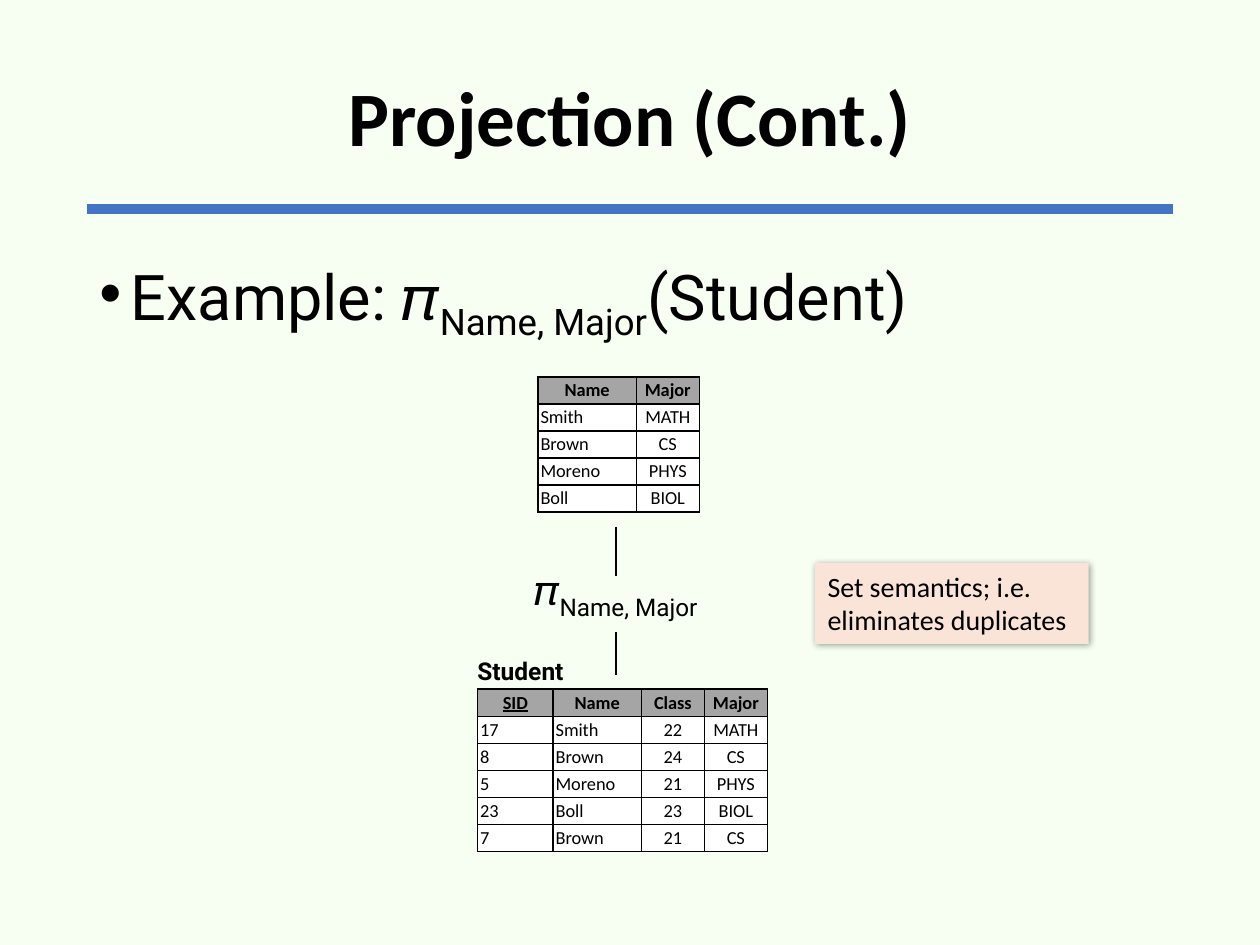
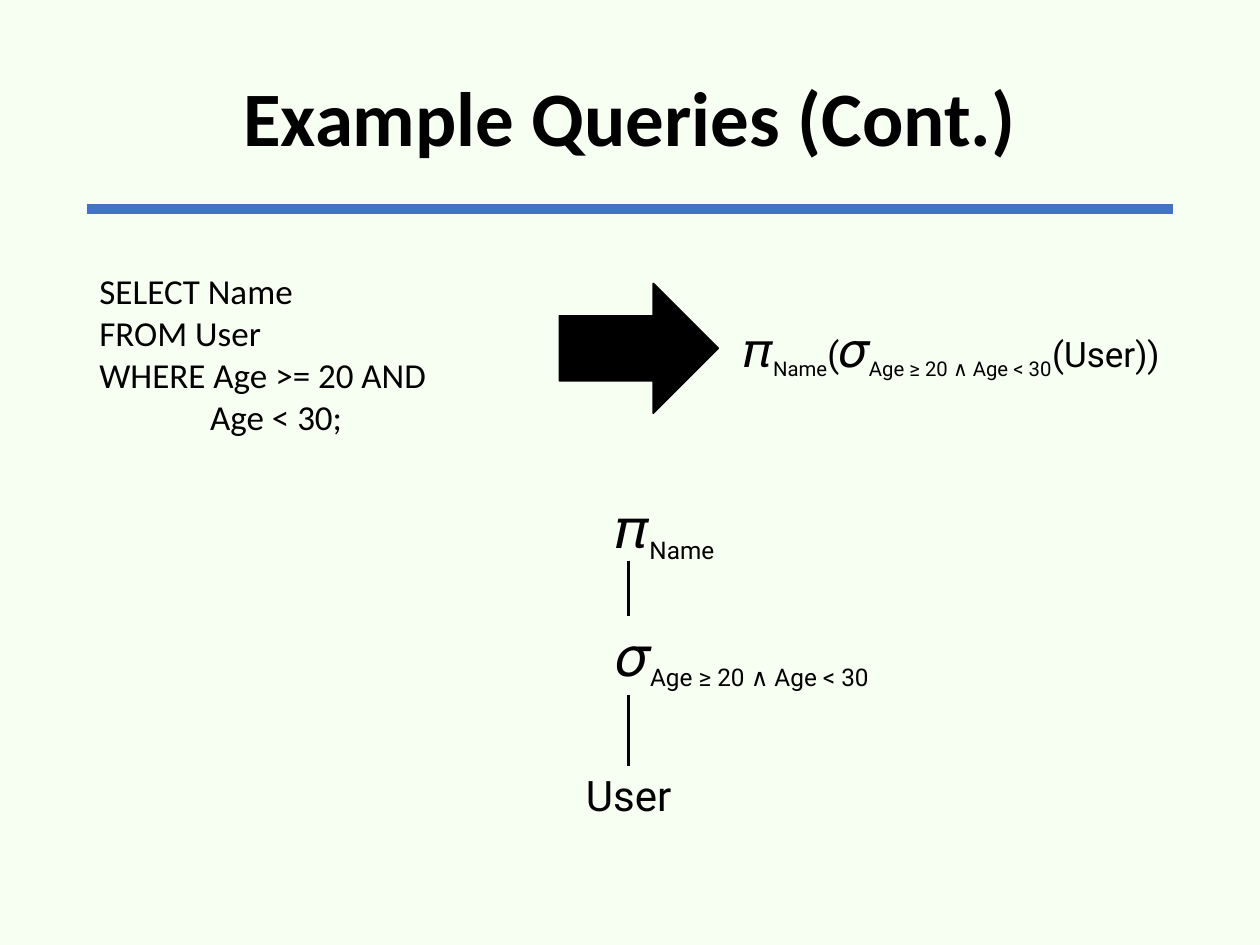
from dataclasses import dataclass

from lxml import etree
from pptx import Presentation
from pptx.dml.color import RGBColor
from pptx.enum.shapes import MSO_CONNECTOR, MSO_SHAPE
from pptx.enum.text import MSO_ANCHOR, PP_ALIGN
from pptx.oxml.ns import qn
from pptx.util import Inches, Pt

LEFT, CENTER = PP_ALIGN.LEFT, PP_ALIGN.CENTER
TOP, MIDDLE = MSO_ANCHOR.TOP, MSO_ANCHOR.MIDDLE
STRAIGHT = MSO_CONNECTOR.STRAIGHT
RECTANGLE, RIGHT_ARROW = MSO_SHAPE.RECTANGLE, MSO_SHAPE.RIGHT_ARROW
SITE_TOP, SITE_BOTTOM = 0, 2


@dataclass(frozen=True)
class Theme:
    background: str = "F7FFF3"
    rule: str = "4472C4"
    ink: str = "000000"
    header: str = "A5A5A5"
    cell: str = "FFFFFF"
    note: str = "FAE4D7"
    sans: str = "Calibri"
    formula: str = "Roboto"
    title_size: float = 44
    bullet_size: float = 36
    symbol_size: float = 32
    formula_symbol_size: float = 28
    operator_size: float = 24
    code_size: float = 20
    note_size: float = 16
    caption_size: float = 14
    table_size: float = 10.5


THEME = Theme()


def color(value):
    return RGBColor.from_string(value)


def add_run(paragraph, text, size, font=THEME.formula, bold=False, underline=False, subscript=False):
    run = paragraph.add_run()
    run.text = text
    run.font.name = font
    run.font.size = Pt(size)
    run.font.bold = bold
    run.font.underline = underline
    run.font.color.rgb = color(THEME.ink)
    if subscript:
        run.font._element.set("baseline", "-25000")


def add_text(slide, box, anchor=TOP, align=LEFT, wrap=True):
    label = slide.shapes.add_textbox(*map(Inches, box))
    frame = label.text_frame
    frame.word_wrap = wrap
    frame.vertical_anchor = anchor
    frame.paragraphs[0].alignment = align
    return label


def add_formula(paragraph, *parts):
    for text, size, subscript in parts:
        add_run(paragraph, text, size, subscript=subscript)


def add_line(slide, start, end, line_color=THEME.ink, width=1.5):
    line = slide.shapes.add_connector(STRAIGHT, *map(Inches, start + end))
    line.line.color.rgb = color(line_color)
    line.line.width = Pt(width)
    etree.SubElement(line._element.spPr, qn("a:effectLst"))
    return line


def join(slide, upper, lower):
    link = add_line(slide, (0, 0), (0, 0))
    link.begin_connect(upper, SITE_BOTTOM)
    link.end_connect(lower, SITE_TOP)


def add_filled(slide, preset, box, fill):
    shape = slide.shapes.add_shape(preset, *map(Inches, box))
    shape.shadow.inherit = False
    shape.fill.solid()
    shape.fill.fore_color.rgb = color(fill)
    return shape


def add_titled_slide(deck, title):
    slide = deck.slides.add_slide(deck.slide_layouts[6])
    slide.background.fill.solid()
    slide.background.fill.fore_color.rgb = color(THEME.background)
    add_line(slide, (0.69, 1.66), (9.31, 1.66), THEME.rule, 6)
    heading = add_text(slide, (0.69, 0.24, 8.62, 1.45), MIDDLE, CENTER).text_frame.paragraphs[0]
    heading.line_spacing = 0.9
    add_run(heading, title, THEME.title_size, THEME.sans, bold=True)
    return slide


def add_bullet(slide, box):
    paragraph = add_text(slide, box).text_frame.paragraphs[0]
    properties = paragraph._p.get_or_add_pPr()
    properties.set("marL", str(Inches(0.25)))
    properties.set("indent", str(-Inches(0.25)))
    etree.SubElement(properties, qn("a:buFont"), typeface="Arial")
    etree.SubElement(properties, qn("a:buChar"), char="•")
    paragraph.line_spacing = 0.9
    return paragraph


def add_note(slide, box, text):
    note = add_filled(slide, RECTANGLE, box, THEME.note)
    note.line.fill.background()
    effects = note._element.spPr.find(qn("a:effectLst"))
    shadow = etree.SubElement(effects, qn("a:outerShdw"), blurRad=str(Pt(4)),
                              dist=str(Pt(1)), dir=str(45 * 60000), rotWithShape="0")
    shade = etree.SubElement(shadow, qn("a:srgbClr"), val=THEME.ink)
    etree.SubElement(shade, qn("a:alpha"), val="40000")
    note.text_frame.word_wrap = True
    note.text_frame.vertical_anchor = TOP
    paragraph = note.text_frame.paragraphs[0]
    paragraph.alignment = LEFT
    add_run(paragraph, text, THEME.note_size, THEME.sans)


def border_cell(cell):
    properties = cell._tc.get_or_add_tcPr()
    for side in ("lnL", "lnR", "lnT", "lnB"):
        edge = etree.SubElement(properties, qn(f"a:{side}"), w=str(Pt(1)))
        fill = etree.SubElement(edge, qn("a:solidFill"))
        etree.SubElement(fill, qn("a:srgbClr"), val=THEME.ink)


def add_relation(slide, left, top, height, widths, rows, centered, key=None):
    frame = slide.shapes.add_table(len(rows), len(widths), Inches(left), Inches(top),
                                   Inches(sum(widths)), Inches(height))
    table = frame.table
    table.horz_banding = False
    for column, width in zip(table.columns, widths):
        column.width = Inches(width)
    for r, values in enumerate(rows):
        table.rows[r].height = Inches(height / len(rows))
        for c, value in enumerate(values):
            cell = table.cell(r, c)
            cell.margin_left = cell.margin_right = Inches(0.02)
            cell.margin_top = cell.margin_bottom = Inches(0.02)
            border_cell(cell)
            is_header = r == 0
            cell.fill.solid()
            cell.fill.fore_color.rgb = color(THEME.header if is_header else THEME.cell)
            paragraph = cell.text_frame.paragraphs[0]
            paragraph.alignment = CENTER if is_header or c in centered else LEFT
            add_run(paragraph, value, THEME.table_size, THEME.sans,
                    bold=is_header, underline=is_header and value == key)


def add_operator(slide, top, height, symbol, condition):
    operator = add_text(slide, (2.89, top, 4.2, height), MIDDLE)
    operator.text_frame.margin_left = Inches(2)
    add_formula(operator.text_frame.paragraphs[0],
                (symbol, THEME.symbol_size, False), (condition, THEME.operator_size, True))
    return operator


def build_projection(deck):
    slide = add_titled_slide(deck, "Projection (Cont.)")
    size = THEME.bullet_size
    add_formula(add_bullet(slide, (0.69, 2, 8.62, 0.8)),
                ("Example: 𝜋", size, False), ("Name, Major", size, True), ("(Student)", size, False))

    projection = add_text(slide, (3.79, 4.47, 2.2, 0.46), MIDDLE, CENTER, wrap=False)
    add_formula(projection.text_frame.paragraphs[0],
                ("𝜋", THEME.operator_size, False), ("Name, Major", THEME.operator_size, True))
    for start, end in ((4.18, 4.57), (5.02, 5.36)):
        add_line(slide, (4.89, start), (4.89, end))

    students = [
        ("SID", "Name", "Class", "Major"),
        ("17", "Smith", "22", "MATH"),
        ("8", "Brown", "24", "CS"),
        ("5", "Moreno", "21", "PHYS"),
        ("23", "Boll", "23", "BIOL"),
        ("7", "Brown", "21", "CS"),
    ]
    projected = list(dict.fromkeys((name, major) for _, name, _, major in students))
    add_relation(slide, 3.79, 5.47, 1.29, (0.6, 0.7, 0.5, 0.5), students, (2, 3), key="SID")
    add_relation(slide, 4.27, 2.99, 1.07, (0.78, 0.5), projected, (1,))
    caption = add_text(slide, (3.69, 5.16, 1.1, 0.34))
    add_run(caption.text_frame.paragraphs[0], "Student", THEME.caption_size, bold=True)
    add_note(slide, (6.47, 4.47, 2.17, 0.64), "Set semantics; i.e. eliminates duplicates")


def build_queries(deck):
    slide = add_titled_slide(deck, "Example Queries (Cont.)")
    query = add_text(slide, (0.69, 2.09, 3.42, 1.44)).text_frame
    lines = ("SELECT Name", "FROM User", "WHERE Age >= 20 AND", "              Age < 30;")
    for number, line in enumerate(lines):
        paragraph = query.add_paragraph() if number else query.paragraphs[0]
        add_run(paragraph, line, THEME.code_size, THEME.sans)

    arrow = add_filled(slide, RIGHT_ARROW, (4.44, 2.25, 1.26, 1.03), THEME.ink)
    arrow.line.color.rgb = color(THEME.ink)
    arrow.line.width = Pt(1)

    condition = "Age ≥ 20 ∧ Age < 30"
    symbol_size, size = THEME.formula_symbol_size, THEME.code_size
    algebra = add_text(slide, (5.8, 2.48, 3.51, 0.57), align=CENTER, wrap=False)
    add_formula(algebra.text_frame.paragraphs[0],
                ("𝜋", symbol_size, False), ("Name", size, True), ("(", size, False),
                ("𝜎", symbol_size, False), (condition, size, True), ("(User))", size, False))

    projection = add_operator(slide, 3.94, 0.51, "𝜋", "Name")
    selection = add_operator(slide, 4.89, 0.63, "𝜎", condition)
    user = add_text(slide, (4.49, 6.08, 1, 0.45), MIDDLE, CENTER, wrap=False)
    add_run(user.text_frame.paragraphs[0], "User", THEME.operator_size)
    join(slide, projection, selection)
    join(slide, selection, user)


def main():
    deck = Presentation()
    deck.slide_width, deck.slide_height = Inches(10), Inches(7.5)
    build_projection(deck)
    build_queries(deck)
    deck.save("out.pptx")


if __name__ == "__main__":
    main()
